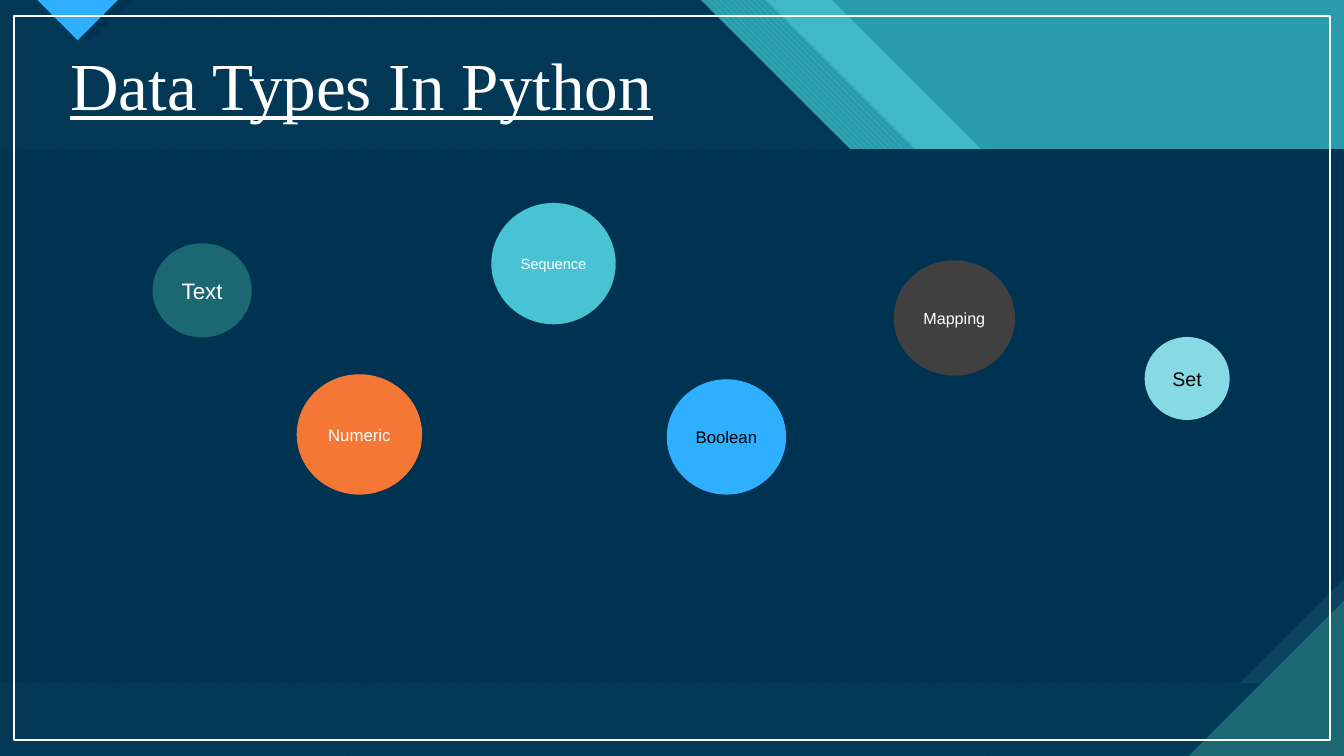
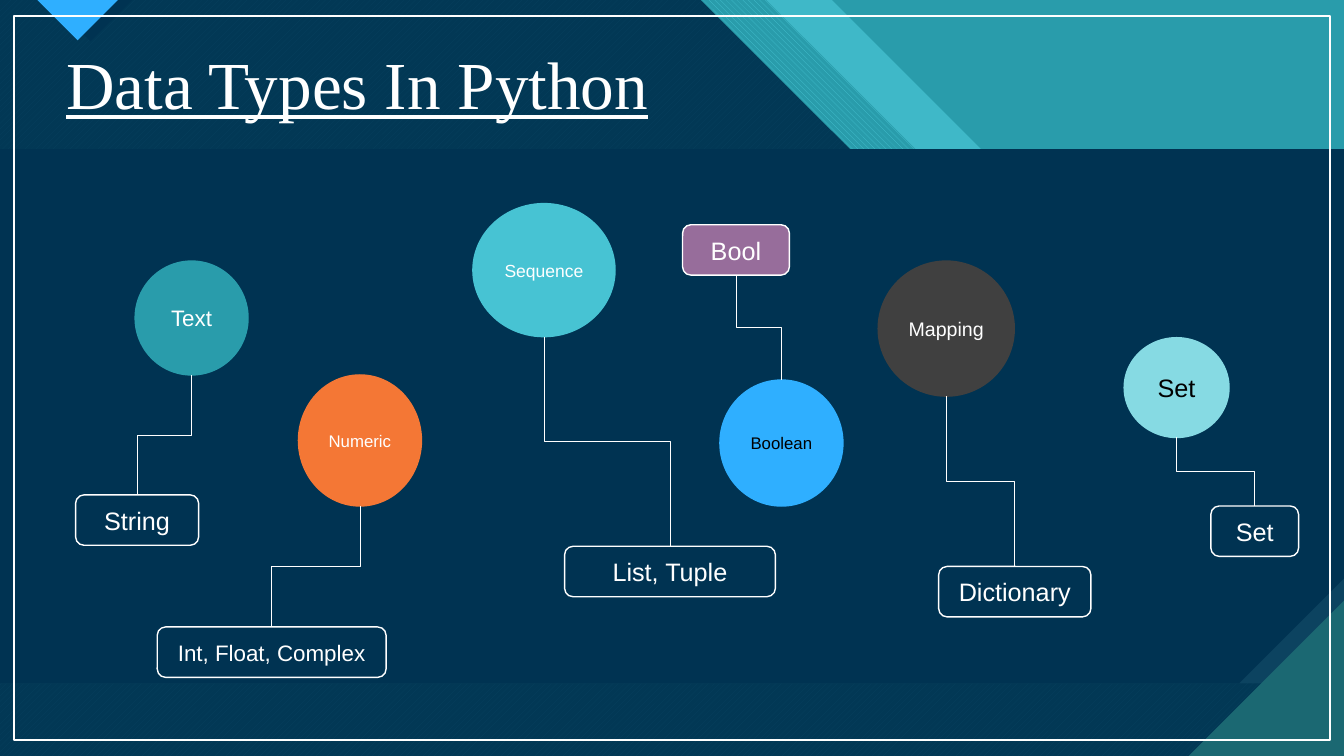
from lxml.etree import SubElement
from pptx import Presentation
from pptx.dml.color import RGBColor
from pptx.enum.dml import MSO_PATTERN
from pptx.enum.shapes import MSO_CONNECTOR, MSO_SHAPE
from pptx.enum.text import MSO_ANCHOR, PP_ALIGN
from pptx.oxml.ns import qn
from pptx.util import Inches, Pt

WHITE = RGBColor(0xFF, 0xFF, 0xFF)
BLACK = RGBColor(0x00, 0x00, 0x00)
NAVY = RGBColor(0x00, 0x33, 0x52)
STEEL = RGBColor(0x0C, 0x43, 0x60)
PINE = RGBColor(0x1B, 0x68, 0x72)
TEAL = RGBColor(0x29, 0x9C, 0xAB)
AQUA = RGBColor(0x47, 0xC3, 0xD3)
PALE = RGBColor(0x86, 0xDA, 0xE3)
BLUE = RGBColor(0x2F, 0xAF, 0xFF)
GRAY = RGBColor(0x40, 0x40, 0x40)
CORAL = RGBColor(0xF4, 0x77, 0x35)
PLUM = RGBColor(0x97, 0x6D, 0x9B)

WIDE, HIGH = 13.33, 7.5
BAND, FOOT = 1.48, 6.78

TITLE = {"name": "Times New Roman", "size": Pt(48), "underline": True}
LABEL = {"name": "Arial"}
FRAME = {"word_wrap": False, "vertical_anchor": MSO_ANCHOR.MIDDLE,
         "margin_left": 0, "margin_right": 0, "margin_top": 0, "margin_bottom": 0}


def apply(target, values):
    for name, value in values.items():
        setattr(target, name, value)


class Deck:
    def __init__(self):
        self.prs = Presentation()
        self.prs.slide_width = Inches(WIDE)
        self.prs.slide_height = Inches(HIGH)
        self.slide = None

    def page(self, title, left, top):
        self.slide = self.prs.slides.add_slide(self.prs.slide_layouts[6])
        back = self.slide.background.fill
        back.solid()
        back.fore_color.rgb = TEAL
        self.decor()
        self.title(title, left, top)
        self.shape(MSO_SHAPE.RECTANGLE, (0.14, 0.16, 13.05, 7.18), None, WHITE)

    def decor(self):
        self.fade(self.slant(8.25, AQUA), 74)
        self.weave(self.slant(7.6, TEAL), MSO_PATTERN.WIDE_DOWNWARD_DIAGONAL, TEAL)
        self.weave(self.slant(6.95, PINE), MSO_PATTERN.WIDE_UPWARD_DIAGONAL, PINE)
        self.fade(self.slant(6.95, NAVY), 90)
        self.area([(0.48, 0), (1.31, 0), (0.9, 0.41)], NAVY)
        self.area([(0.37, 0), (1.17, 0), (0.77, 0.4)], BLUE)
        self.shape(MSO_SHAPE.RECTANGLE, (0, BAND, WIDE, FOOT - BAND), STEEL)
        cut = 1.04
        self.area([(0, BAND), (WIDE, BAND), (WIDE, FOOT - cut),
                   (WIDE - cut, FOOT), (0, FOOT)], NAVY)
        side = 1.54
        self.area([(WIDE - side, HIGH), (WIDE, HIGH), (WIDE, HIGH - side)], PINE)

    def slant(self, start, color):
        bend = 2.97
        return self.area([(0, 0), (start, 0), (start + bend, bend),
                          (WIDE, bend), (WIDE, HIGH), (0, HIGH)], color)

    def area(self, points, color):
        first, *rest = [(Inches(x), Inches(y)) for x, y in points]
        build = self.slide.shapes.build_freeform(*first)
        build.add_line_segments(rest)
        return self.paint(build.convert_to_shape(), color)

    def paint(self, shape, color, edge=None):
        shape.shadow.inherit = False
        for part, tone in ((shape.fill, color), (shape.line.fill, edge)):
            if tone is None:
                part.background()
            else:
                part.solid()
                part.fore_color.rgb = tone
        if edge is not None:
            shape.line.width = Pt(1)
        return shape

    def fade(self, shape, percent):
        tone = shape._element.spPr.find(qn("a:solidFill"))[0]
        SubElement(tone, qn("a:alpha")).set("val", str(percent * 1000))

    def weave(self, shape, pattern, color):
        fill = shape.fill
        fill.patterned()
        fill.pattern = pattern
        fill.fore_color.rgb = AQUA
        fill.back_color.rgb = color

    def shape(self, kind, place, color, edge=None):
        shape = self.slide.shapes.add_shape(kind, *map(Inches, place))
        return self.paint(shape, color, edge)

    def title(self, text, left, top):
        box = self.slide.shapes.add_textbox(*map(Inches, (left, top, 11.5, 1.45)))
        box.text_frame.word_wrap = True
        line = box.text_frame.paragraphs[0]
        line.line_spacing = 0.9
        self.words(line, text, WHITE, TITLE)

    def words(self, line, text, color, style):
        run = line.add_run()
        run.text = text
        apply(run.font, style)
        run.font.color.rgb = color

    def label(self, shape, text, size, color):
        apply(shape.text_frame, FRAME)
        line = shape.text_frame.paragraphs[0]
        line.alignment = PP_ALIGN.CENTER
        self.words(line, text, color, {**LABEL, "size": Pt(size)})
        return shape

    def disc(self, text, place, color, size, ink=WHITE):
        shape = self.shape(MSO_SHAPE.OVAL, place, color, color)
        return self.label(shape, text, size, ink)

    def box(self, text, left, top, width, size=18, color=NAVY):
        place = (left, top, width, 0.5)
        shape = self.shape(MSO_SHAPE.ROUNDED_RECTANGLE, place, color, WHITE)
        return self.label(shape, text, size, WHITE)

    def link(self, upper, lower):
        x1, y1 = upper.left + upper.width // 2, upper.top + upper.height
        x2, y2 = lower.left + lower.width // 2, lower.top
        mid_x, mid_y = (x1 + x2) // 2, (y1 + y2) // 2
        right = x2 > x1
        run = (y2 - y1) // 2 * (-1 if right else 1)
        rise = abs(x2 - x1) // 2
        line = self.slide.shapes.add_connector(
            MSO_CONNECTOR.ELBOW, mid_x - run, mid_y - rise, mid_x + run, mid_y + rise)
        props = line._element.spPr
        props.xfrm.set("rot", str((270 if right else 90) * 60000))
        line.line.width = Pt(0.5)
        line.line.color.rgb = WHITE
        SubElement(props, qn("a:effectLst"))


def main():
    deck = Deck()
    topic = "Data Types In Python"

    deck.page(topic, 0.6, 0.47)
    for disc in (
        ("Text", (1.52, 2.42, 0.97, 0.92), PINE, 16),
        ("Set", (11.36, 3.35, 0.83, 0.81), PALE, 14, BLACK),
        ("Mapping", (8.87, 2.59, 1.19, 1.13), GRAY, 11.5),
        ("Numeric", (2.95, 3.72, 1.23, 1.18), CORAL, 12),
        ("Sequence", (4.88, 2.02, 1.22, 1.19), AQUA, 10.5),
        ("Boolean", (6.62, 3.77, 1.17, 1.13), BLUE, 12, BLACK),
    ):
        deck.disc(*disc)

    deck.page(topic, 0.56, 0.46)
    for disc, box in (
        (("Text", (1.34, 2.59, 1.12, 1.13), TEAL, 16),
         ("String", 0.75, 4.91, 1.22)),
        (("Set", (11.15, 3.35, 1.04, 0.99), PALE, 18, BLACK),
         ("Set", 12.01, 5.02, 0.87)),
        (("Mapping", (8.71, 2.59, 1.35, 1.34), GRAY, 14),
         ("Dictionary", 9.31, 5.62, 1.51)),
        (("Numeric", (2.96, 3.72, 1.22, 1.3), CORAL, 12),
         ("Int, Float, Complex", 1.56, 6.22, 2.27, 16)),
        (("Sequence", (4.69, 2.02, 1.41, 1.32), AQUA, 12.5),
         ("List, Tuple", 5.6, 5.42, 2.09)),
        (("Boolean", (7.14, 3.77, 1.22, 1.25), BLUE, 12, BLACK),
         ("Bool", 6.77, 2.23, 1.06, 18, PLUM)),
    ):
        pair = deck.disc(*disc), deck.box(*box)
        deck.link(*sorted(pair, key=lambda shape: shape.top))

    deck.prs.save("out.pptx")


if __name__ == "__main__":
    main()
